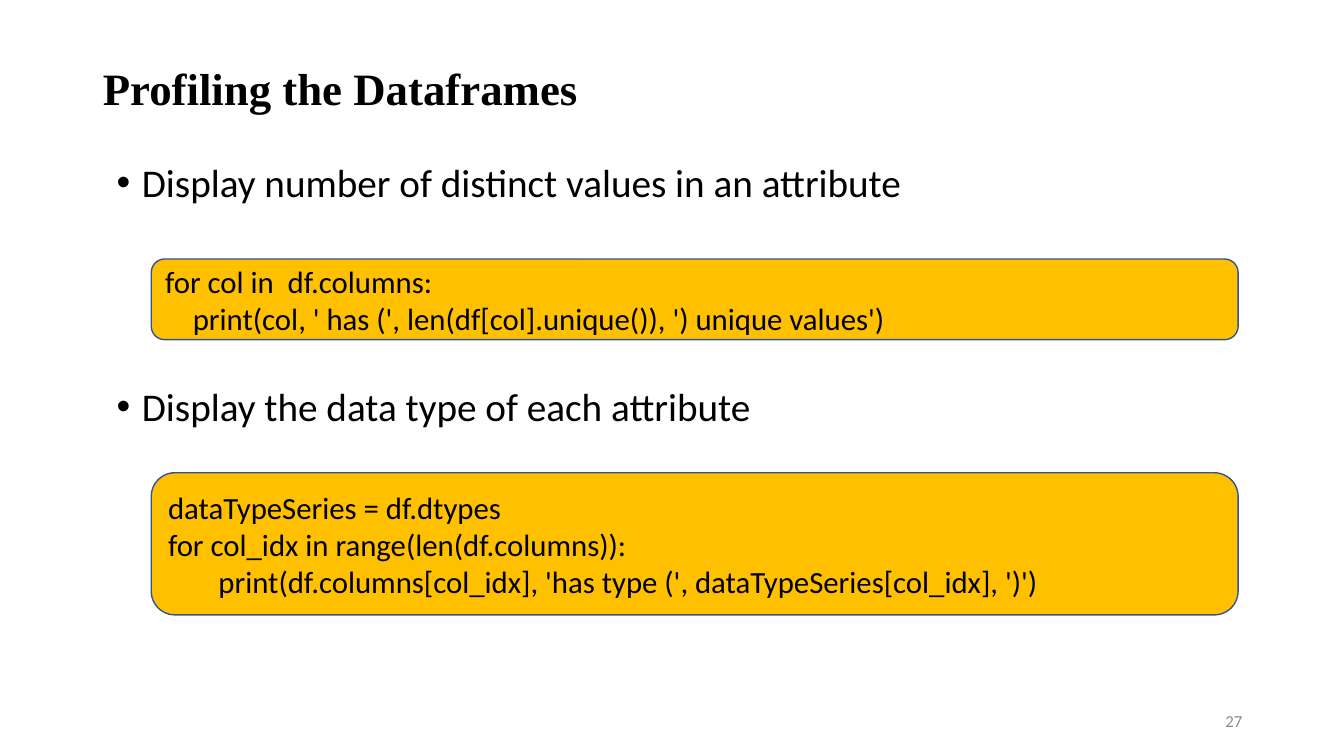
from lxml.etree import SubElement
from pptx import Presentation
from pptx.dml.color import RGBColor
from pptx.enum.shapes import MSO_SHAPE
from pptx.enum.text import MSO_ANCHOR, MSO_AUTO_SIZE, PP_ALIGN
from pptx.oxml.ns import qn
from pptx.util import Inches, Pt

BLACK = RGBColor(0x00, 0x00, 0x00)
GRAY = RGBColor(0x8C, 0x8C, 0x8C)
AMBER = RGBColor(0xFF, 0xC0, 0x00)
NAVY = RGBColor(0x32, 0x54, 0x91)

TASKS = [
    "Display number of distinct values in an attribute",
    "Display the data type of each attribute",
]
UNIQUE_CODE = [
    "for col in  df.columns:",
    "    print(col, ' has (', len(df[col].unique()), ') unique values')",
]
TYPE_CODE = [
    "dataTypeSeries = df.dtypes",
    "for col_idx in range(len(df.columns)):",
    "    \tprint(df.columns[col_idx], 'has type (', dataTypeSeries[col_idx], ')')",
]


def add_span(para, text, size, color=BLACK, font="Calibri", bold=False):
    span = para.add_run()
    span.text = text
    span.font.name = font
    span.font.size = Pt(size)
    span.font.bold = bold
    span.font.color.rgb = color


def next_paragraph(frame, index):
    return frame.add_paragraph() if index else frame.paragraphs[0]


def set_title(page, text):
    title = page.shapes.title
    title.left, title.top = Inches(0.92), Inches(0.4)
    title.width, title.height = Inches(11.5), Inches(1)
    frame = title.text_frame
    frame.auto_size = MSO_AUTO_SIZE.NONE
    frame.vertical_anchor = MSO_ANCHOR.MIDDLE
    para = frame.paragraphs[0]
    para.alignment = PP_ALIGN.LEFT
    para.line_spacing = 0.9
    add_span(para, text, 32, font="Times New Roman", bold=True)


def add_bullets(page, tasks):
    box = page.shapes.add_textbox(Inches(1.06), Inches(1.57), Inches(11.5), Inches(5.48))
    frame = box.text_frame
    frame.word_wrap = True
    for index, task in enumerate(tasks):
        para = next_paragraph(frame, index)
        properties = para._p.get_or_add_pPr()
        properties.set("marL", str(Inches(0.25)))
        properties.set("indent", str(-Inches(0.25)))
        SubElement(properties, qn("a:buFont"), typeface="Arial")
        SubElement(properties, qn("a:buChar"), char="•")
        para.line_spacing = 0.9
        para.space_before = Pt(130 if index else 0)
        add_span(para, task, 28)


def add_code_panel(page, top, height, lines):
    panel = page.shapes.add_shape(
        MSO_SHAPE.ROUNDED_RECTANGLE, Inches(1.5), Inches(top), Inches(10.78), Inches(height)
    )
    panel.shadow.inherit = False
    panel.fill.solid()
    panel.fill.fore_color.rgb = AMBER
    panel.line.color.rgb = NAVY
    panel.line.width = Pt(1)
    frame = panel.text_frame
    frame.word_wrap = True
    frame.vertical_anchor = MSO_ANCHOR.MIDDLE
    for index, line in enumerate(lines):
        para = next_paragraph(frame, index)
        para.alignment = PP_ALIGN.LEFT
        add_span(para, line, 22)


def add_page_number(page, number):
    box = page.shapes.add_textbox(Inches(9.42), Inches(6.95), Inches(3), Inches(0.4))
    frame = box.text_frame
    frame.word_wrap = True
    frame.vertical_anchor = MSO_ANCHOR.MIDDLE
    para = frame.paragraphs[0]
    para.alignment = PP_ALIGN.RIGHT
    add_span(para, number, 12, GRAY)


def main():
    """Build the slide on profiling dataframes."""
    deck = Presentation()
    deck.slide_width, deck.slide_height = Inches(13.33), Inches(7.5)
    page = deck.slides.add_slide(deck.slide_layouts[5])
    set_title(page, "Profiling the Dataframes")
    add_bullets(page, TASKS)
    add_code_panel(page, 2.57, 0.8, UNIQUE_CODE)
    add_code_panel(page, 4.69, 1.41, TYPE_CODE)
    add_page_number(page, "27")
    deck.save("out.pptx")


if __name__ == "__main__":
    main()
